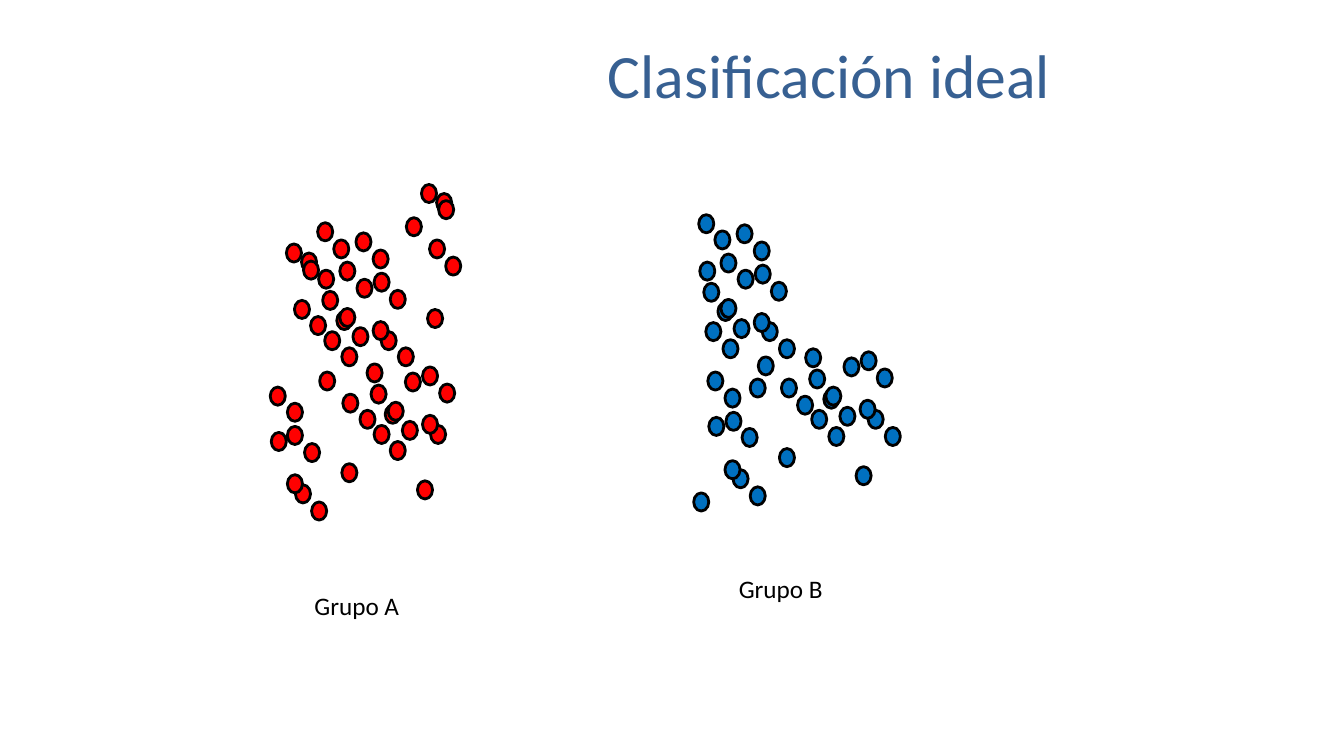
from dataclasses import dataclass

from pptx import Presentation
from pptx.dml.color import RGBColor
from pptx.enum.shapes import MSO_SHAPE
from pptx.enum.text import MSO_ANCHOR, MSO_AUTO_SIZE, PP_ALIGN
from pptx.slide import Slide
from pptx.text.text import TextFrame
from pptx.util import Inches, Pt

DOT_W, DOT_H = 0.15, 0.18
LABEL_W, LABEL_H = 2.07, 0.4
TITLE_BOX = {"left": 3.78, "top": 0.3, "width": 8.89, "height": 0.86}
TITLE_FONT = {"name": "Calibri", "size": Pt(44), "bold": False}
LABEL_FONT = {"name": "Calibri", "size": Pt(18)}


@dataclass(frozen=True)
class Cluster:
    """A labelled cloud of dots; dots hold left and top in inches."""
    label: str
    label_at: tuple[float, float]
    color: str
    dots: tuple[tuple[float, float], ...]


GROUP_A = Cluster("Grupo A", (3.02, 5.81), "FF0000", (
    (2.99, 2.51), (3.15, 2.21), (2.84, 2.42), (3.37, 2.6), (3.34, 3.09),
    (3.71, 2.71), (3.2, 2.89), (4.03, 2.16), (3.53, 2.31), (2.92, 2.98),
    (3.22, 3.29), (3.78, 3.29), (3.16, 2.68), (3.31, 2.38), (3.01, 2.59),
    (3.54, 2.77), (3.5, 3.25), (3.87, 2.88), (3.37, 3.06), (3.7, 3.19),
    (3.7, 2.48), (3.08, 3.14), (3.39, 3.45), (3.95, 3.45), (4.33, 1.92),
    (4.18, 1.83), (4.24, 3.07), (4.26, 2.38), (4.35, 1.99), (4.42, 2.55),
    (2.85, 4.23), (3.17, 3.69), (2.68, 3.84), (2.93, 4.81), (2.69, 4.29),
    (3.02, 4.4), (2.85, 4.71), (2.85, 4), (3.09, 4.98), (3.82, 4.02),
    (4.19, 3.64), (3.68, 3.82), (3.39, 4.6), (3.4, 3.91), (3.71, 4.22),
    (4.27, 4.22), (3.64, 3.61), (4.02, 3.7), (3.99, 4.18), (4.36, 3.81),
    (3.85, 3.99), (4.19, 4.12), (3.57, 4.07), (3.87, 4.38), (4.14, 4.77),
))
GROUP_B = Cluster("Grupo B", (7.23, 5.64), "0070C0", (
    (6.93, 2.13), (7.15, 2.52), (7.12, 3), (7.49, 2.63), (6.98, 2.81),
    (7.31, 2.23), (7, 3.2), (7.56, 3.2), (6.94, 2.6), (7.09, 2.29),
    (7.32, 2.68), (7.28, 3.17), (7.65, 2.8), (7.15, 2.97), (7.48, 3.11),
    (7.48, 2.4), (7.17, 3.37), (7.73, 3.37), (7.44, 3.76), (7.2, 4.09),
    (7.52, 3.54), (7.02, 3.69), (7.27, 4.66), (7.03, 4.14), (7.36, 4.25),
    (7.19, 4.57), (7.19, 3.86), (7.44, 4.83), (8.17, 3.87), (8.54, 3.49),
    (8.03, 3.67), (7.73, 4.45), (7.75, 3.76), (8.05, 4.07), (8.61, 4.07),
    (7.99, 3.46), (8.37, 3.55), (8.33, 4.04), (8.7, 3.66), (8.19, 3.84),
    (8.53, 3.97), (7.91, 3.93), (8.22, 4.24), (8.78, 4.24), (8.49, 4.63),
    (6.88, 4.89),
))


def rgb(color: str) -> RGBColor:
    return RGBColor.from_string(color)


def write(tf: TextFrame, text: str, font: dict, color: str, align: PP_ALIGN) -> None:
    tf.word_wrap = True
    p = tf.paragraphs[0]
    p.alignment = align
    r = p.add_run()
    r.text = text
    for name, value in font.items():
        setattr(r.font, name, value)
    r.font.color.rgb = rgb(color)


def add_title(s: Slide, text: str) -> None:
    sp = s.shapes.title
    for name, value in TITLE_BOX.items():
        setattr(sp, name, Inches(value))
    sp.text_frame.vertical_anchor = MSO_ANCHOR.MIDDLE
    write(sp.text_frame, text, TITLE_FONT, "376092", PP_ALIGN.CENTER)


def add_dot(s: Slide, left: float, top: float, color: str) -> None:
    sp = s.shapes.add_shape(MSO_SHAPE.OVAL, Inches(left), Inches(top),
                            Inches(DOT_W), Inches(DOT_H))
    sp.shadow.inherit = False
    sp.fill.solid()
    sp.fill.fore_color.rgb = rgb(color)
    sp.line.color.rgb = rgb("000000")
    sp.line.width = Pt(2)


def add_cluster(s: Slide, cluster: Cluster) -> None:
    for left, top in cluster.dots:
        add_dot(s, left, top, cluster.color)
    left, top = cluster.label_at
    sp = s.shapes.add_textbox(Inches(left), Inches(top), Inches(LABEL_W), Inches(LABEL_H))
    write(sp.text_frame, cluster.label, LABEL_FONT, "000000", PP_ALIGN.LEFT)
    sp.text_frame.auto_size = MSO_AUTO_SIZE.SHAPE_TO_FIT_TEXT


def main() -> None:
    prs = Presentation()
    prs.slide_width, prs.slide_height = Inches(13.33), Inches(7.5)
    s = prs.slides.add_slide(prs.slide_layouts.get_by_name("Title Only"))
    add_title(s, "Clasificación ideal")
    for cluster in (GROUP_A, GROUP_B):
        add_cluster(s, cluster)
    prs.save("out.pptx")


if __name__ == "__main__":
    main()
